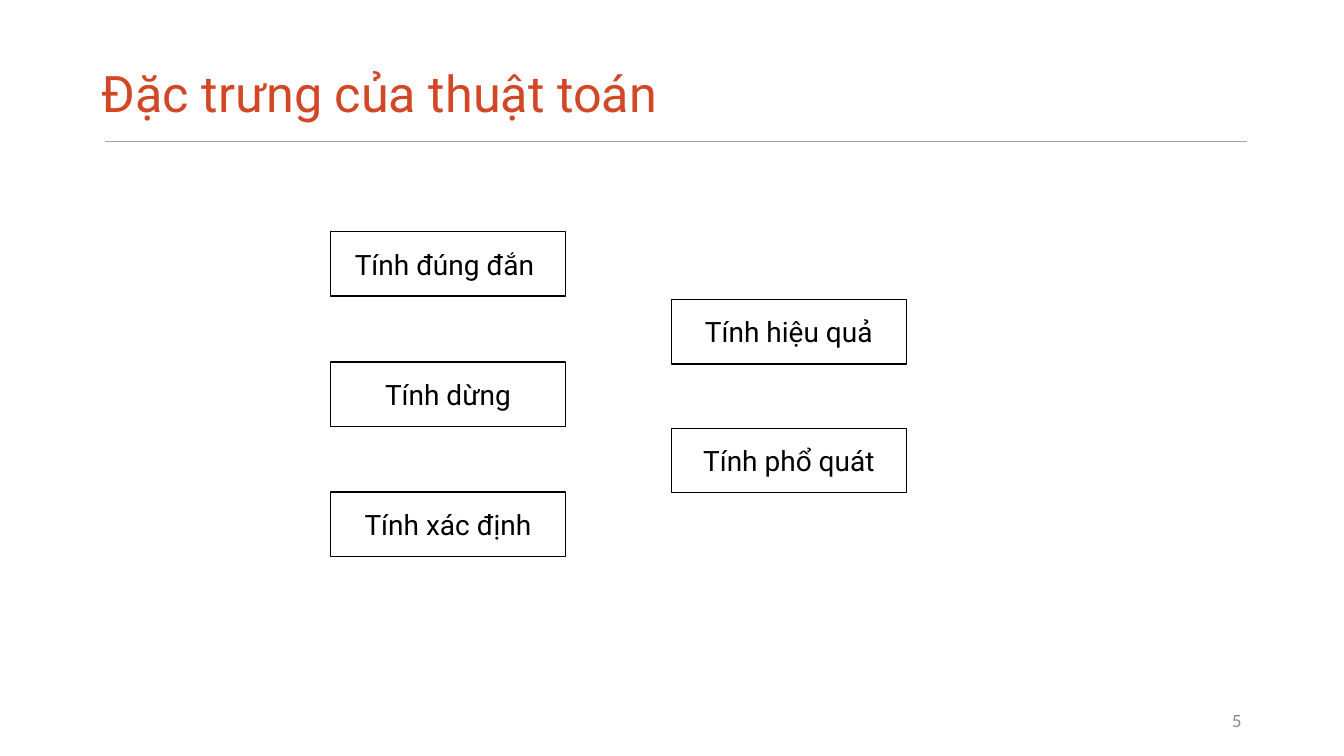
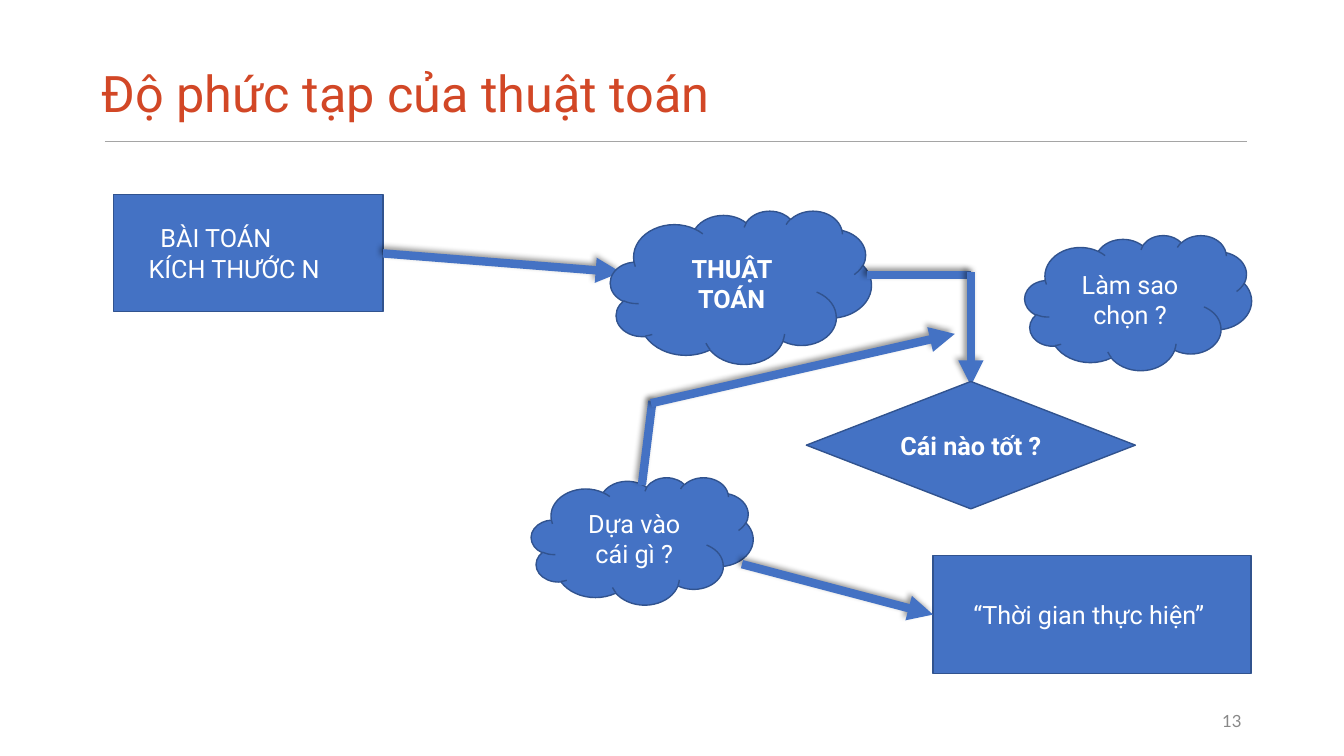
from lxml import etree
from pptx import Presentation
from pptx.dml.color import RGBColor
from pptx.enum.shapes import MSO_CONNECTOR, MSO_SHAPE
from pptx.enum.text import MSO_ANCHOR, PP_ALIGN
from pptx.oxml.ns import qn
from pptx.util import Pt

RECT, CLOUD = MSO_SHAPE.RECTANGLE, MSO_SHAPE.CLOUD
DECISION = MSO_SHAPE.FLOWCHART_DECISION
STRAIGHT = MSO_CONNECTOR.STRAIGHT
LEFT, CENTER, RIGHT = PP_ALIGN.LEFT, PP_ALIGN.CENTER, PP_ALIGN.RIGHT
MIDDLE = MSO_ANCHOR.MIDDLE

BLACK = RGBColor(0x00, 0x00, 0x00)
WHITE = RGBColor(0xFF, 0xFF, 0xFF)
ORANGE = RGBColor(0xD2, 0x47, 0x26)
BLUE = RGBColor(0x44, 0x72, 0xC4)
DARK_BLUE = RGBColor(0x31, 0x53, 0x8F)
RULE_GRAY = RGBColor(0xA5, 0xA5, 0xA5)
NUMBER_GRAY = RGBColor(0x88, 0x88, 0x88)

TITLE_FONT = {"name": "Roboto", "size": Pt(36)}
TRAIT_FONT = {"name": "Roboto", "size": Pt(20)}
NODE_FONT = {"name": "Roboto", "size": Pt(18)}
NODE_BOLD = {**NODE_FONT, "bold": True}
NUMBER_FONT = {"name": "Lato", "size": Pt(12)}


def write(shape, lines, font, color, align, spacing=None, indents=()):
    """Fill a shape with one paragraph per line."""
    frame = shape.text_frame
    frame.word_wrap = True
    frame.vertical_anchor = MIDDLE
    for index, line in enumerate(lines):
        paragraph = frame.add_paragraph() if index else frame.paragraphs[0]
        paragraph.alignment = align
        paragraph.line_spacing = spacing
        run = paragraph.add_run()
        run.text = line
        for attribute, value in font.items():
            setattr(run.font, attribute, value)
        run.font.color.rgb = color
        if indents:
            paragraph._p.get_or_add_pPr().set("marL", str(Pt(indents[index])))


def add_label(slide, box, text, font, color, align, spacing=None):
    label = slide.shapes.add_textbox(*map(Pt, box))
    write(label, [text], font, color, align, spacing)


def add_box(slide, kind, box, outline, fill=None):
    shape = slide.shapes.add_shape(kind, *map(Pt, box))
    shape.shadow.inherit = False
    if fill is None:
        shape.fill.background()
    else:
        shape.fill.solid()
        shape.fill.fore_color.rgb = fill
    shape.line.color.rgb = outline
    shape.line.width = Pt(1)
    return shape


def add_trait(slide, left, top, text):
    trait = add_box(slide, RECT, (left, top, 168, 46), BLACK)
    write(trait, [text], TRAIT_FONT, BLACK, CENTER)


def add_node(slide, kind, box, lines, font=NODE_FONT, align=CENTER, indents=()):
    node = add_box(slide, kind, box, DARK_BLUE, BLUE)
    write(node, lines, font, WHITE, align, indents=indents)


def add_line(slide, ends, color, width):
    line = slide.shapes.add_connector(STRAIGHT, *map(Pt, ends))
    line.line.color.rgb = color
    line.line.width = Pt(width)
    effects = etree.SubElement(line._element.spPr, qn("a:effectLst"))
    return line, effects


def add_flow(slide, ends, arrow=True):
    """Thick line with a soft shadow and an optional arrowhead."""
    flow, effects = add_line(slide, ends, BLUE, 6)
    if arrow:
        etree.SubElement(flow.line._get_or_add_ln(), qn("a:tailEnd"), type="triangle")
    shadow = etree.SubElement(
        effects, qn("a:outerShdw"), blurRad=str(Pt(4)), dist=str(Pt(3)),
        dir=str(225 * 60000), algn="br", rotWithShape="0")
    tint = etree.SubElement(shadow, qn("a:srgbClr"), val=str(BLACK))
    etree.SubElement(tint, qn("a:alpha"), val="40000")


def add_base(prs, title, number):
    """Blank slide with the shared rule, title and page number."""
    slide = prs.slides.add_slide(prs.slide_layouts[6])
    add_line(slide, (75, 101, 891, 101), RULE_GRAY, 1)
    add_label(slide, (65.5, 36.5, 828, 65), title, TITLE_FONT, ORANGE, LEFT, 0.9)
    add_label(slide, (678, 500.5, 216, 28.75), number, NUMBER_FONT, NUMBER_GRAY, RIGHT)
    return slide


def build_traits(prs):
    slide = add_base(prs, "Đặc trưng của thuật toán", "5")
    # Two columns: left, first top, pitch, labels
    columns = [
        (236, 165.5, 93, ["Tính đúng đắn ", "Tính dừng", "Tính xác định"]),
        (479.5, 214, 92, ["Tính hiệu quả", "Tính phổ quát"]),
    ]
    for left, top, pitch, labels in columns:
        for row, label in enumerate(labels):
            add_trait(slide, left, top + row * pitch, label)


def build_complexity(prs):
    slide = add_base(prs, "Độ phức tạp của thuật toán", "13")
    # Problem to algorithm
    add_node(slide, RECT, (81, 139, 192.5, 83.5), ["BÀI TOÁN", "KÍCH THƯỚC N"],
             align=LEFT, indents=(26.5, 18))
    add_flow(slide, (273.5, 181, 443.5, 194.5))
    add_node(slide, CLOUD, (436, 150.5, 186.5, 109.5), ["THUẬT TOÁN"], NODE_BOLD)
    # Algorithm to decision
    add_flow(slide, (619, 196.5, 693.5, 196.5), arrow=False)
    add_flow(slide, (693.5, 194.5, 693.5, 275.5))
    add_node(slide, DECISION, (576, 272.5, 235, 91), ["Cái nào tốt ?"], NODE_BOLD)
    # Questions and answer
    add_node(slide, CLOUD, (732, 168, 162, 96.5), ["Làm sao chọn ?"])
    add_node(slide, CLOUD, (379.5, 341, 158.5, 91), ["Dựa vào cái gì ?"])
    add_node(slide, RECT, (666.5, 397, 227, 84), ["“Thời gian thực hiện” "])
    add_flow(slide, (530, 403, 666.5, 439))
    # Criterion to decision
    add_flow(slide, (458.5, 346.5, 466, 286.5), arrow=False)
    add_flow(slide, (465, 288, 682, 238.5))


def main():
    prs = Presentation()
    prs.slide_width, prs.slide_height = Pt(960), Pt(540)
    build_traits(prs)
    build_complexity(prs)
    prs.save("out.pptx")


if __name__ == "__main__":
    main()
